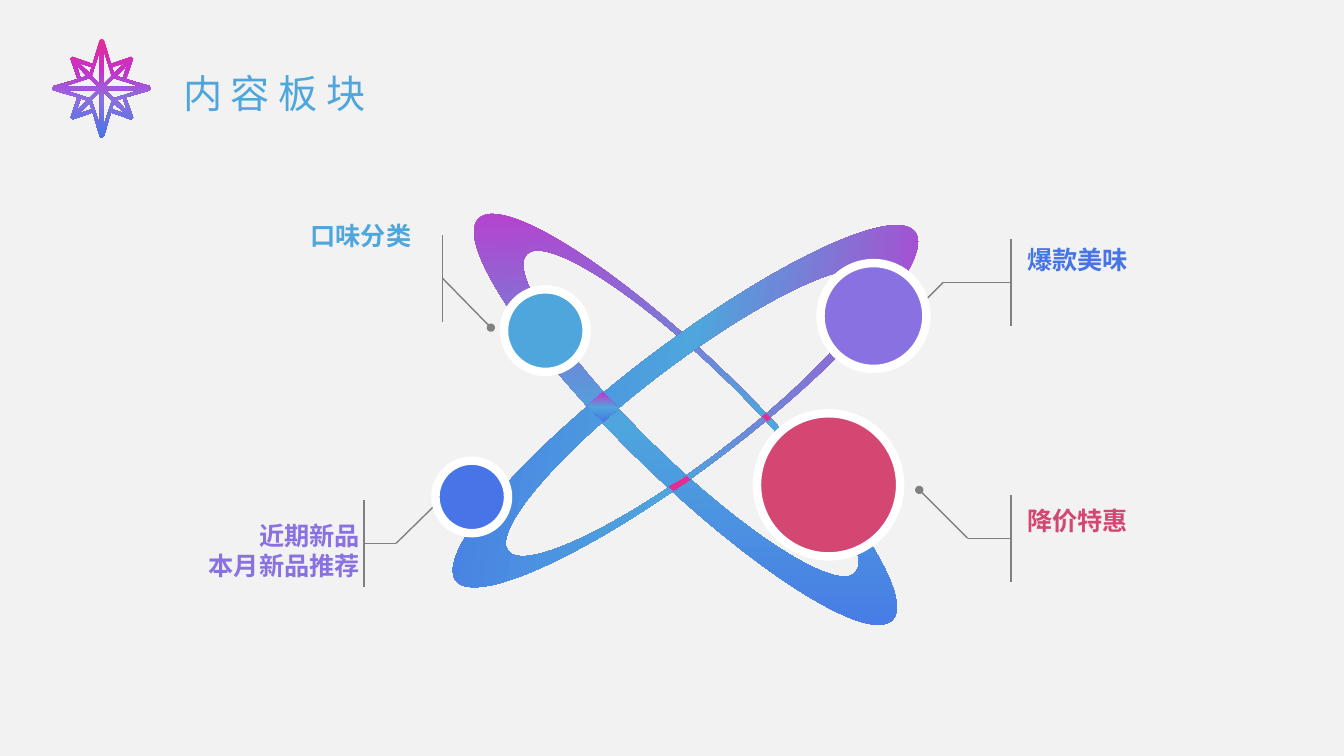
from copy import deepcopy

from lxml import etree
from pptx import Presentation
from pptx.dml.color import RGBColor
from pptx.enum.shapes import MSO_CONNECTOR, MSO_SHAPE
from pptx.enum.text import MSO_ANCHOR, PP_ALIGN
from pptx.oxml.ns import qn
from pptx.util import Emu, Pt

PX = 9144  # EMU per px, 100 px to the inch

BACKGROUND, GREY, WHITE, PINK = "F2F2F2", "808080", "FFFFFF", "E32D91"
SKY, RED, VIOLET, BLUE = "4EA6DC", "D54773", "8971E1", "4775E7"
RING_STOPS = [(0, "C830CC"), (50, SKY), (100, BLUE)]
STAR_STOPS = [(0, PINK), (32, "C830CC"), (61, VIOLET), (100, BLUE)]

TITLE = ("内容板块", (172, 64, 209, 57))
LABEL_FONT = "Noto Sans CJK SC"

# centre x, centre y, rotation
RINGS = [(680, 416, 314.1), (680, 403, 52.8)]
RING_OUTER, RING_INNER, RING_SHIFT = (61, 286), (48, 227), 8
ARC_HANDLE = 0.55  # length of a quarter arc's handle, as a share of the radius

LOWER_CROSSING = [(681, 472), (685, 476), (670, 486), (668, 487), (663, 483), (677, 475)]
LEFT_CROSSING = [(598, 389), (605, 396), (614, 406), (603, 414),
                 (598, 419), (598, 418), (583, 402), (597, 390)]
RIGHT_CROSSING = [(760, 410), (763, 413), (765, 415), (761, 418), (756, 413)]

# left, top, diameter, colour
FRONT_PLANETS = [(500, 287, 82, SKY), (751, 410, 142, RED)]
TOP_PLANETS = [(814, 261, 105, VIOLET), (432, 457, 72, BLUE)]

# bar x, middle y, elbow x, dot
BAR_HALF = 43
CALLOUTS = [
    (439, 276, 439, (487, 325)),
    (361, 539, 393, (442, 491)),
    (1003, 280, 936, (888, 328)),
    (1003, 534, 960, (912, 486)),
]

# lines, box, colour, alignment
LABELS = [
    (["爆款美味"], (1003, 237, 134, 34), BLUE, PP_ALIGN.LEFT),
    (["降价特惠"], (1003, 496, 134, 34), RED, PP_ALIGN.LEFT),
    (["口味分类"], (147, 214, 277, 105), SKY, PP_ALIGN.RIGHT),
    (["近期新品", "本月新品推荐"], (167, 511, 206, 148), VIOLET, PP_ALIGN.RIGHT),
]

# One quarter of the star, around its centre
STAR_CENTRE = (101, 87.5)
STAR_EDGE = [(0, -49), (2, -48), (9, -24), (29, -31), (31, -29), (24, -9), (48, -2)]
STAR_HOLES = [[(10, -21), (12, -15), (23, -25)], [(2, -4), (10, -12), (2, -37)]]


def px(length):
    return Emu(round(length * PX))


def rgb(colour):
    return RGBColor.from_string(colour)


def paint(shape, colour):
    shape.shadow.inherit = False
    shape.line.fill.background()
    shape.fill.solid()
    shape.fill.fore_color.rgb = rgb(colour)


def paint_gradient(shape, stops, angle):
    """Fill with a linear gradient whose angle runs clockwise from the right."""
    paint(shape, WHITE)
    shape.fill.gradient()
    shape.fill.gradient_angle = 360 - angle
    stop_list = shape._element.spPr.find(qn("a:gradFill")).find(qn("a:gsLst"))
    while len(stop_list) < len(stops):
        stop_list.append(deepcopy(stop_list[0]))
    for stop, (position, colour) in zip(shape.fill.gradient_stops, stops):
        stop.position = position / 100
        stop.color.rgb = rgb(colour)


def add_outline(shapes, *contours):
    contours = [[(px(x), px(y)) for x, y in contour] for contour in contours]
    builder = shapes.build_freeform(*contours[0][0], scale=1.0)
    builder.add_line_segments(contours[0][1:], close=True)
    for contour in contours[1:]:
        builder.move_to(*contour[0])
        builder.add_line_segments(contour[1:], close=True)
    return builder.convert_to_shape()


def ellipse_corners(x, y, radii):
    across, down = radii
    return [(x + across, y), (x, y + down), (x - across, y), (x, y - down), (x + across, y)]


def round_off(shape):
    """Turn each straight side between ellipse corners into a quarter arc."""
    leaves_upright = True
    for side in list(shape._element.iter(qn("a:moveTo"), qn("a:lnTo"))):
        end = [int(side[0].get(axis)) for axis in "xy"]
        if side.tag == qn("a:moveTo"):
            start, leaves_upright = end, True
            continue
        corner = (start[0], end[1]) if leaves_upright else (end[0], start[1])
        handles = [[round(p + (c - p) * ARC_HANDLE) for p, c in zip(point, corner)]
                   for point in (start, end)]
        arc = etree.Element(qn("a:cubicBezTo"))
        for x, y in handles + [end]:
            etree.SubElement(arc, qn("a:pt"), x=str(x), y=str(y))
        side.getparent().replace(side, arc)
        start, leaves_upright = end, not leaves_upright


def add_ring(shapes, x, y, rotation):
    ring = add_outline(shapes, ellipse_corners(x, y, RING_OUTER),
                       ellipse_corners(x + RING_SHIFT, y, RING_INNER))
    round_off(ring)
    ring.rotation = rotation
    paint_gradient(ring, RING_STOPS, 135)


def add_planet(shapes, left, top, diameter, colour):
    planet = shapes.add_shape(MSO_SHAPE.OVAL, px(left), px(top), px(diameter), px(diameter))
    paint(planet, colour)
    planet.line.color.rgb = rgb(WHITE)
    planet.line.width = Pt(6)


def add_line(shapes, start, end, dot=False):
    line = shapes.add_connector(MSO_CONNECTOR.STRAIGHT, *map(px, start + end))
    line.line.color.rgb = rgb(GREY)
    line.line.width = Pt(1)
    if dot:
        outline = line._element.spPr.find(qn("a:ln"))
        etree.SubElement(outline, qn("a:tailEnd"), type="oval")
    etree.SubElement(line._element.spPr, qn("a:effectLst"))


def style(paragraph, font_name, size, colour, bold):
    font = paragraph.font
    font.name, font.size, font.bold = font_name, Pt(size), bold
    font.color.rgb = rgb(colour)
    etree.SubElement(font._element, qn("a:ea"), typeface=LABEL_FONT)


def add_label(shapes, lines, box, colour, alignment):
    frame = shapes.add_textbox(*map(px, box)).text_frame
    frame.word_wrap = False
    on_left = alignment == PP_ALIGN.LEFT
    frame.margin_left, frame.margin_right = px(16 * on_left), px(16 * (not on_left))
    frame.text = "\n".join(lines)
    for paragraph in frame.paragraphs:
        paragraph.alignment = alignment
        style(paragraph, LABEL_FONT, 18, colour, True)


def add_star(shapes):
    quarter_holes = STAR_HOLES + [[(-y, -x) for x, y in hole] for hole in STAR_HOLES]
    edge, holes = [], []
    for cosine, sine in [(1, 0), (0, 1), (-1, 0), (0, -1)]:
        def turn(points):
            return [(STAR_CENTRE[0] + x * cosine - y * sine,
                     STAR_CENTRE[1] + x * sine + y * cosine) for x, y in points]
        edge += turn(STAR_EDGE)
        holes += [turn(hole) for hole in quarter_holes]
    paint_gradient(add_outline(shapes, edge, *holes), STAR_STOPS, 90)


def set_title(title):
    text, box = TITLE
    title.left, title.top, title.width, title.height = map(px, box)
    frame = title.text_frame
    frame.text = text
    frame.word_wrap = False
    frame.vertical_anchor = MSO_ANCHOR.TOP
    paragraph = frame.paragraphs[0]
    paragraph.alignment = PP_ALIGN.LEFT
    style(paragraph, "Arial", 28, SKY, False)
    paragraph.font._element.set("spc", "600")


def main():
    deck = Presentation()
    deck.slide_width, deck.slide_height = px(1333.33), px(750)
    slide = deck.slides.add_slide(deck.slide_layouts[5])
    slide.background.fill.solid()
    slide.background.fill.fore_color.rgb = rgb(BACKGROUND)
    shapes = slide.shapes
    set_title(shapes.title)
    for ring in RINGS:
        add_ring(shapes, *ring)
    paint(add_outline(shapes, LOWER_CROSSING), PINK)
    paint_gradient(add_outline(shapes, LEFT_CROSSING), RING_STOPS, 90)
    paint(add_outline(shapes, RIGHT_CROSSING), PINK)
    for planet in FRONT_PLANETS:
        add_planet(shapes, *planet)
    for bar, middle, elbow, dot in CALLOUTS:
        add_line(shapes, (elbow, middle), dot, dot=True)
        add_line(shapes, (bar, middle - BAR_HALF), (bar, middle + BAR_HALF))
        add_line(shapes, (bar, middle), (elbow, middle))
    for label in LABELS:
        add_label(shapes, *label)
    for planet in TOP_PLANETS:
        add_planet(shapes, *planet)
    add_star(shapes)
    deck.save("out.pptx")


if __name__ == "__main__":
    main()
